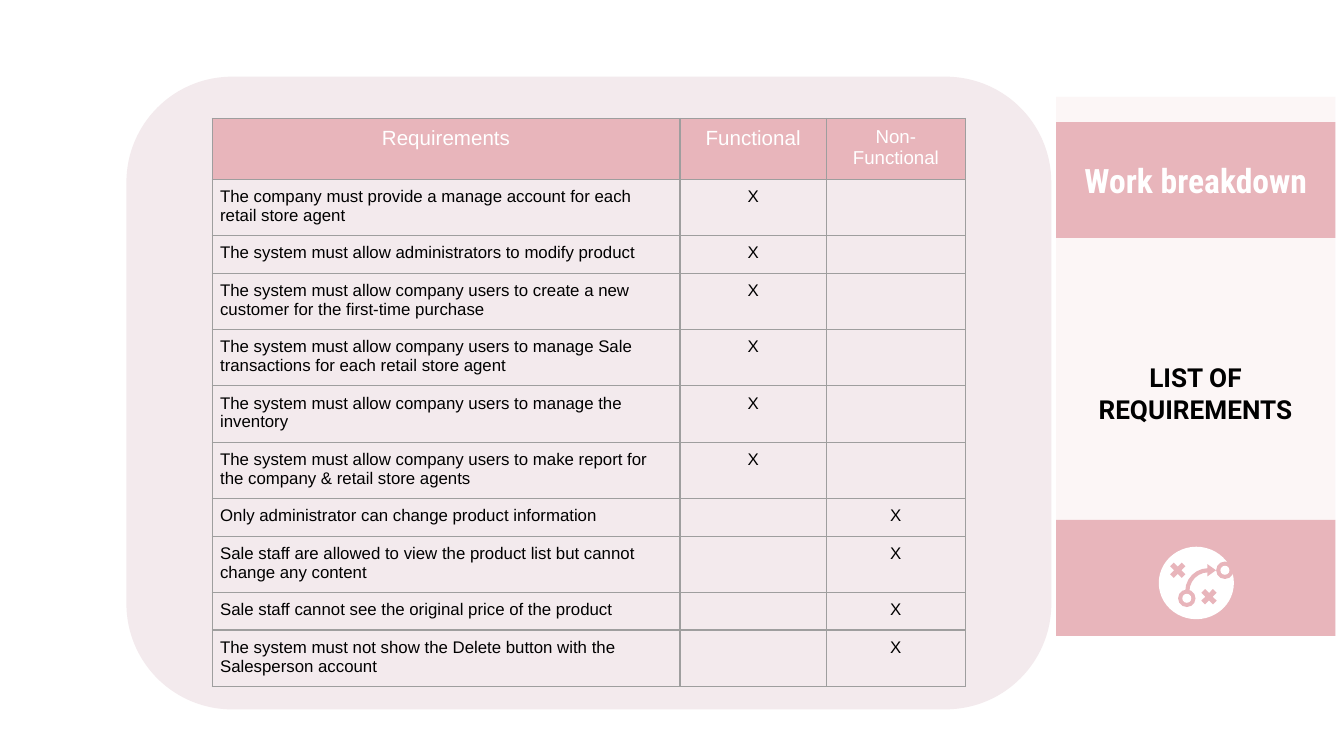
from lxml import etree
from pptx import Presentation
from pptx.dml.color import RGBColor
from pptx.enum.shapes import MSO_SHAPE
from pptx.enum.text import MSO_ANCHOR, PP_ALIGN
from pptx.oxml import parse_xml
from pptx.oxml.ns import nsdecls, qn
from pptx.util import Cm, Pt

RECTANGLE = MSO_SHAPE.RECTANGLE
ROUNDED = MSO_SHAPE.ROUNDED_RECTANGLE
OVAL = MSO_SHAPE.OVAL
CROSS = MSO_SHAPE.MATH_MULTIPLY
ARC = MSO_SHAPE.ARC
TRIANGLE = MSO_SHAPE.ISOSCELES_TRIANGLE
MIDDLE = MSO_ANCHOR.MIDDLE
CENTER, LEFT = PP_ALIGN.CENTER, PP_ALIGN.LEFT

PINK, PALE, WHITE, BLACK, GRAY = "E8B5BB", "F3EAED", "FFFFFF", "000000", "9E9E9E"

TITLE = "Work breakdown"
SUBTITLE = "LIST OF REQUIREMENTS"
HEADERS = [("Requirements", 11), ("Functional", 11), ("Non-Functional", 10)]
FUNCTIONAL = [
    "The company must provide a manage account for each retail store agent",
    "The system must allow administrators to modify product",
    "The system must allow company users to create a new customer for the first-time purchase",
    "The system must allow company users to manage Sale transactions for each retail store agent",
    "The system must allow company users to manage the inventory",
    "The system must allow company users to make report for the company & retail store agents",
]
NON_FUNCTIONAL = [
    "Only administrator can change product information",
    "Sale staff are allowed to view the product list but cannot change any content",
    "Sale staff cannot see the original price of the product",
    "The system must not show the Delete button with the Salesperson account",
]

PANEL_LEFT, PANEL_TOP, PANEL_WIDTH, PANEL_HEIGHT = 19.96, 1.83, 5.28, 10.19
BAND_HEIGHT = 2.19
TABLE_LEFT, TABLE_TOP = 4.01, 2.24
COLUMN_WIDTHS = [8.84, 2.77, 2.62]
HEADER_HEIGHT, ONE_LINE, TWO_LINES, LINE_LIMIT = 0.81, 0.71, 1.04, 60
CELL_MARGIN, TEXT_MARGIN = 0.15, 0.25
RINGS = [(22.43, 11.31), (23.15, 10.78)]
CROSSES = [(22.26, 10.78), (22.85, 11.28)]


def color(value):
    return RGBColor.from_string(value)


def add_figure(page, kind, left, top, width, height, fill):
    figure = page.shapes.add_shape(kind, Cm(left), Cm(top), Cm(width), Cm(height))
    figure.shadow.inherit = False
    figure.fill.solid()
    figure.fill.fore_color.rgb = color(fill)
    figure.line.fill.background()
    return figure


def add_mark(page, kind, center, width, height, fill):
    x, y = center
    return add_figure(page, kind, x - width / 2, y - height / 2, width, height, fill)


def write(frame, text, size, font, ink, align, bold=False):
    paragraph = frame.paragraphs[0]
    paragraph.text = text
    paragraph.alignment = align
    paragraph.font.size = Pt(size)
    paragraph.font.name = font
    paragraph.font.bold = bold
    paragraph.font.color.rgb = color(ink)


def write_label(box, text, size, font, ink):
    frame = box.text_frame
    frame.word_wrap = True
    frame.vertical_anchor = MIDDLE
    frame.margin_left = frame.margin_right = Cm(TEXT_MARGIN)
    frame.margin_top = frame.margin_bottom = Cm(TEXT_MARGIN)
    write(frame, text, size, font, ink, CENTER, True)


def add_borders(cell):
    properties = cell._tc.get_or_add_tcPr()
    for index, side in enumerate(("lnL", "lnR", "lnT", "lnB")):
        properties.insert(index, parse_xml(
            f'<a:{side} {nsdecls("a")} w="9525"><a:solidFill>'
            f'<a:srgbClr val="{GRAY}"/></a:solidFill></a:{side}>'))


def fill_cell(cell, text, size, ink, align, fill=None):
    cell.margin_left = cell.margin_right = Cm(CELL_MARGIN)
    cell.margin_top = cell.margin_bottom = Cm(CELL_MARGIN)
    write(cell.text_frame, text, size, "Arial", ink, align)
    if not text:
        ending = etree.SubElement(cell.text_frame.paragraphs[0]._p, qn("a:endParaRPr"))
        ending.set("sz", str(size * 100))
    if fill:
        cell.fill.solid()
        cell.fill.fore_color.rgb = color(fill)
    else:
        cell.fill.background()
    add_borders(cell)


def add_side_panel(page):
    panel = add_figure(page, RECTANGLE, PANEL_LEFT, PANEL_TOP, PANEL_WIDTH, PANEL_HEIGHT, PINK)
    shade = panel.fill._xPr.find(qn("a:solidFill")).find(qn("a:srgbClr"))
    etree.SubElement(shade, qn("a:alpha")).set("val", "12000")
    bottom = PANEL_TOP + PANEL_HEIGHT - BAND_HEIGHT
    add_figure(page, RECTANGLE, PANEL_LEFT, bottom, PANEL_WIDTH, BAND_HEIGHT, PINK)
    title = add_figure(page, RECTANGLE, PANEL_LEFT, 2.31, PANEL_WIDTH, BAND_HEIGHT, PINK)
    write_label(title, TITLE, 18, "Roboto Condensed", WHITE)
    subtitle = page.shapes.add_textbox(Cm(20.32), Cm(5.54), Cm(4.55), Cm(3.78))
    write_label(subtitle, SUBTITLE, 14, "Roboto", BLACK)


def add_strategy_icon(page):
    add_mark(page, OVAL, (22.61, 11.02), 1.42, 1.37, WHITE)
    for center in CROSSES:
        add_mark(page, CROSS, center, 0.42, 0.42, PINK)
    route = add_figure(page, ARC, 22.44, 10.78, 0.79, 0.79, PINK)
    route.fill.background()
    route.line.color.rgb = color(PINK)
    route.line.width = Pt(2.2)
    route.adjustments[0], route.adjustments[1] = 108, 162
    arrow = add_mark(page, TRIANGLE, (22.9, 10.78), 0.23, 0.16, PINK)
    arrow.rotation = 90
    for center in RINGS:
        add_mark(page, OVAL, center, 0.33, 0.33, PINK)
        add_mark(page, OVAL, center, 0.17, 0.17, WHITE)


def add_requirements(page):
    card = add_figure(page, ROUNDED, 2.39, 1.45, 17.48, 11.96, PALE)
    card.adjustments[0] = 0.167
    rows = [(text, "X", "") for text in FUNCTIONAL]
    rows += [(text, "", "X") for text in NON_FUNCTIONAL]
    heights = [HEADER_HEIGHT]
    heights += [TWO_LINES if len(row[0]) > LINE_LIMIT else ONE_LINE for row in rows]
    table = page.shapes.add_table(
        len(heights), len(HEADERS), Cm(TABLE_LEFT), Cm(TABLE_TOP),
        Cm(sum(COLUMN_WIDTHS)), Cm(sum(heights))).table
    table.first_row = table.horz_banding = False
    for column, width in zip(table.columns, COLUMN_WIDTHS):
        column.width = Cm(width)
    for row, height in zip(table.rows, heights):
        row.height = Cm(height)
    for column, (text, size) in enumerate(HEADERS):
        fill_cell(table.cell(0, column), text, size, WHITE, CENTER, PINK)
    for number, row in enumerate(rows, 1):
        for column, text in enumerate(row):
            align = CENTER if column else LEFT
            fill_cell(table.cell(number, column), text, 9, BLACK, align)


def main():
    deck = Presentation()
    deck.slide_width, deck.slide_height = Cm(25.4), Cm(14.29)
    page = deck.slides.add_slide(deck.slide_layouts[6])
    add_side_panel(page)
    add_strategy_icon(page)
    add_requirements(page)
    deck.save("out.pptx")


if __name__ == "__main__":
    main()
